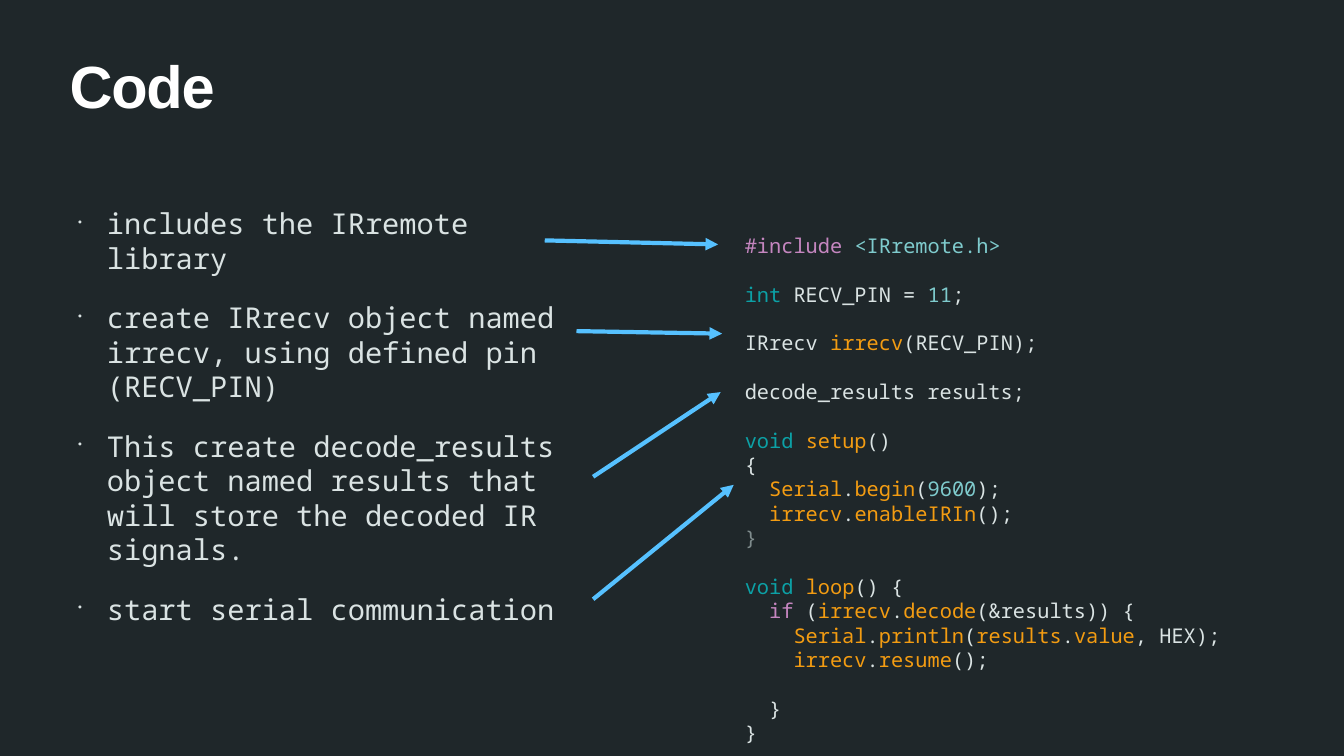
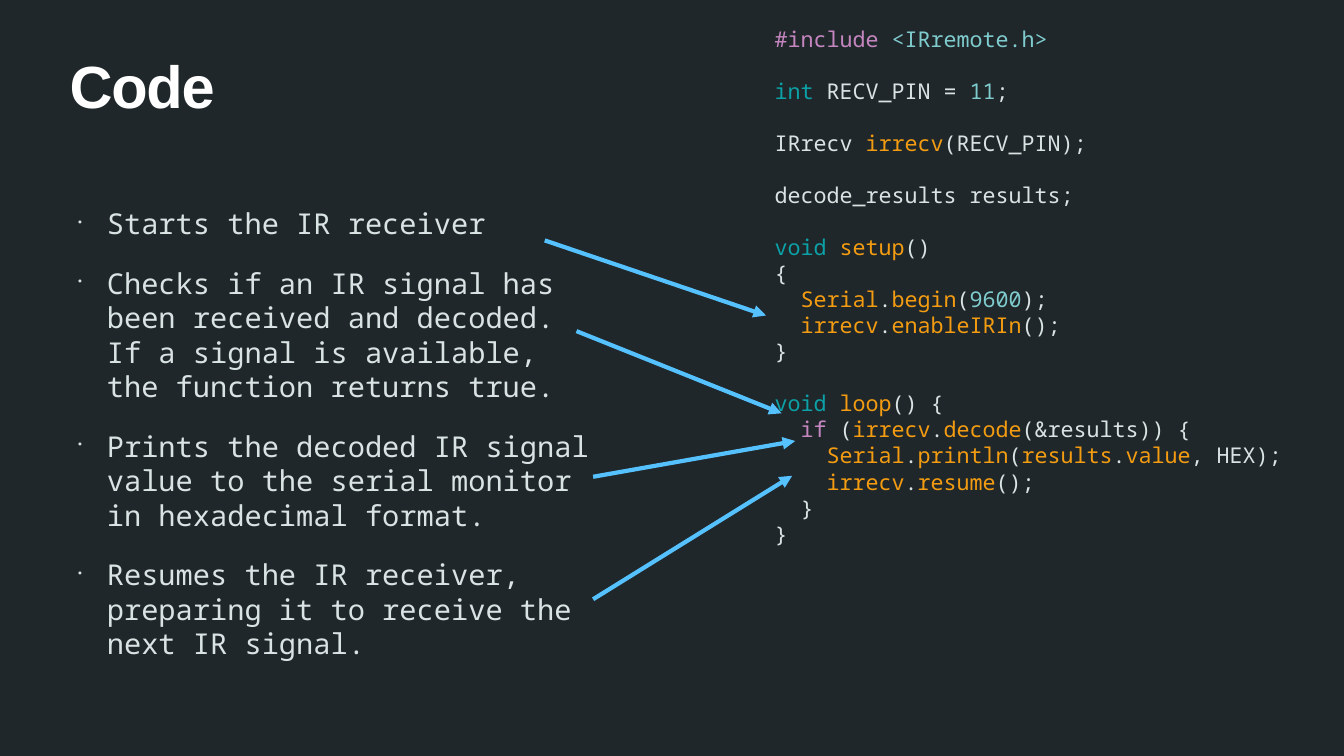
from collections import namedtuple
from dataclasses import dataclass

from lxml import etree
from pptx import Presentation
from pptx.dml.color import RGBColor
from pptx.enum.shapes import MSO_CONNECTOR
from pptx.enum.text import MSO_ANCHOR
from pptx.oxml.ns import qn
from pptx.util import Emu, Pt

STRAIGHT = MSO_CONNECTOR.STRAIGHT
TOP = MSO_ANCHOR.TOP
BLANK_LAYOUT = 6
PX = 9144  # 100 px to the inch
INSET = 6

Box = namedtuple("Box", "left top width height")


@dataclass(frozen=True)
class Theme:
    background: str = "1F272A"
    title: str = "FFFFFF"
    text: str = "DAE3E3"
    arrow: str = "56C1FF"
    directive: str = "C586C0"
    type: str = "0CA1A6"
    value: str = "7FCBCD"
    name: str = "F39C12"
    faded: str = "7F8C8D"
    title_font: str = "Arial"
    mono_font: str = "Noto Sans Mono"
    title_size: int = 85
    body_size: int = 41
    bullet_gap: int = 36
    arrow_width: int = 6
    line_height: float = 1.2  # mono font, times its size
    char_width: float = 0.6


THEME = Theme()

# Colour of each highlighted token; all others are plain text
TOKEN_COLOURS = {
    **dict.fromkeys(("#include", "if"), THEME.directive),
    **dict.fromkeys(("int", "void"), THEME.type),
    **dict.fromkeys(("<IRremote.h>", "11", "9600"), THEME.value),
    **dict.fromkeys(("irrecv", "setup", "loop", "Serial", "begin", "enableIRIn",
                     "decode", "println", "results", "value", "resume"), THEME.name),
}

# Blocks of (indent level, tokens separated by "|"); an empty line parts the blocks
CODE_BLOCKS = [
    [(0, "#include |<IRremote.h>")],
    [(0, "int| RECV_PIN = |11|;")],
    [(0, "IRrecv |irrecv|(RECV_PIN);")],
    [(0, "decode_results results;")],
    [(0, "void |setup|()"),
     (0, "{"),
     (1, "Serial|.|begin|(|9600|);"),
     (1, "irrecv|.|enableIRIn|();"),
     (0, "}")],
    [(0, "void |loop|() {"),
     (1, "if| (|irrecv|.|decode|(&results)) {"),
     (2, "Serial|.|println|(|results|.|value|, HEX);"),
     (2, "irrecv|.|resume|();")],
]
CLOSING_BRACES = [(1, "}"), (0, "}")]
SETUP_BLOCK = 4

TITLE_BOX = Box(132, 118, 2403, 157)
BULLET_BOX = Box(149, 403, 1032, 903)
ARROW_STARTS = [(1081, 477), (1144, 657), (1177, 946), (1177, 1189)]


def px(length):
    return Emu(length * PX)


def add_frame(page, box):
    """Add an empty wrapped text box and return its text frame."""
    frame = page.shapes.add_textbox(*map(px, box)).text_frame
    frame.word_wrap = True
    frame.vertical_anchor = TOP
    frame.margin_left = frame.margin_right = px(INSET)
    frame.margin_top = frame.margin_bottom = px(INSET)
    return frame


def next_para(frame, index):
    return frame.add_paragraph() if index else frame.paragraphs[0]


def add_text(para, text, *, size, font=THEME.mono_font, colour=THEME.text,
             bold=False, spacing=None):
    span = para.add_run()
    span.text = text
    span.font.name = font
    span.font.size = Pt(size)
    span.font.bold = bold
    span.font.color.rgb = RGBColor.from_string(colour)
    if spacing is not None:
        span.font._element.set("spc", str(spacing))


def add_title(page, box, text):
    para = add_frame(page, box).paragraphs[0]
    para.line_spacing = 0.8
    add_text(para, text, size=THEME.title_size, font=THEME.title_font,
             colour=THEME.title, bold=True, spacing=-170)


def add_bullets(page, box, items):
    frame = add_frame(page, box)
    for index, item in enumerate(items):
        para = next_para(frame, index)
        para.space_before = Pt(THEME.bullet_gap)
        props = para._p.get_or_add_pPr()
        props.set("marL", str(px(57)))
        props.set("indent", str(px(-57)))
        etree.SubElement(props, qn("a:buSzPct"), val="40000")
        etree.SubElement(props, qn("a:buChar"), char="•")
        add_text(para, item, size=THEME.body_size)


def add_code(page, box, blocks, size, setup_brace):
    frame = add_frame(page, box)
    empty_line = Pt(size * THEME.line_height)
    frame.margin_top = px(INSET) + empty_line
    count = 0
    for block_index, block in enumerate(blocks):
        for row, (level, line) in enumerate(block):
            para = next_para(frame, count)
            count += 1
            para.space_before = empty_line if row == 0 and block_index else Pt(0)
            props = para._p.get_or_add_pPr()
            props.set("marL", str(Pt(level * 2 * size * THEME.char_width)))
            props.set("indent", "0")
            closes_setup = block_index == SETUP_BLOCK and line == "}"
            plain = setup_brace if closes_setup else THEME.text
            for token in line.split("|"):
                add_text(para, token, size=size,
                         colour=TOKEN_COLOURS.get(token.strip(), plain))


def add_arrow(page, start, end):
    arrow = page.shapes.add_connector(STRAIGHT, *map(px, start + end))
    arrow.line.color.rgb = RGBColor.from_string(THEME.arrow)
    arrow.line.width = Pt(THEME.arrow_width)
    etree.SubElement(arrow.line._get_or_add_ln(), qn("a:tailEnd"), type="triangle")
    etree.SubElement(arrow._element.spPr, qn("a:effectLst"))


def add_code_slide(deck, *, bullets, code_box, blocks, code_size, arrow_ends,
                   setup_brace=THEME.text):
    page = deck.slides.add_slide(deck.slide_layouts[BLANK_LAYOUT])
    fill = page.background.fill
    fill.solid()
    fill.fore_color.rgb = RGBColor.from_string(THEME.background)
    add_title(page, TITLE_BOX, "Code")
    add_bullets(page, BULLET_BOX, bullets)
    add_code(page, code_box, blocks, code_size, setup_brace)
    for start, end in zip(ARROW_STARTS, arrow_ends):
        add_arrow(page, start, end)


def main():
    deck = Presentation()
    deck.slide_width, deck.slide_height = px(2667), px(1500)

    # Declarations and setup
    add_code_slide(
        deck,
        bullets=[
            "includes the IRremote library",
            "create IRrecv object named irrecv, using defined pin (RECV_PIN)",
            "This create decode_results object named results that will store "
            "the decoded IR signals.",
            "start serial communication",
        ],
        code_box=Box(1472, 408, 1083, 1118),
        blocks=CODE_BLOCKS + [CLOSING_BRACES],
        code_size=29,
        arrow_ends=[(1425, 485), (1433, 662), (1430, 778), (1456, 962)],
        setup_brace=THEME.faded,
    )

    # Receiving loop
    add_code_slide(
        deck,
        bullets=[
            "Starts the IR receiver",
            "Checks if an IR signal has been received and decoded. If a signal "
            "is available, the function returns true.",
            "Prints the decoded IR signal value to the serial monitor in "
            "hexadecimal format.",
            "Resumes the IR receiver, preparing it to receive the next IR signal.",
        ],
        code_box=Box(1531, -7, 1083, 1118),
        blocks=CODE_BLOCKS[:-1] + [CODE_BLOCKS[-1] + CLOSING_BRACES],
        code_size=31,
        arrow_ends=[(1520, 626), (1551, 820), (1578, 875), (1572, 944)],
    )
    deck.save("out.pptx")


if __name__ == "__main__":
    main()
